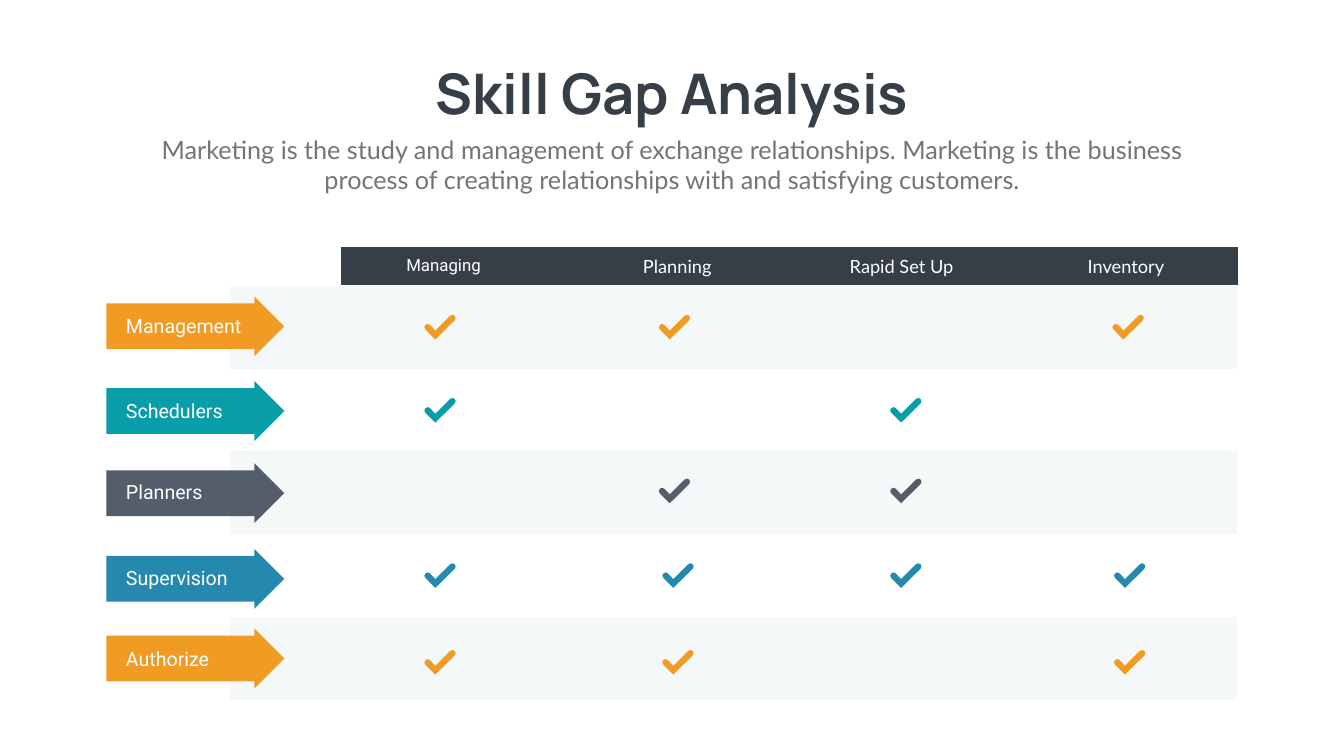
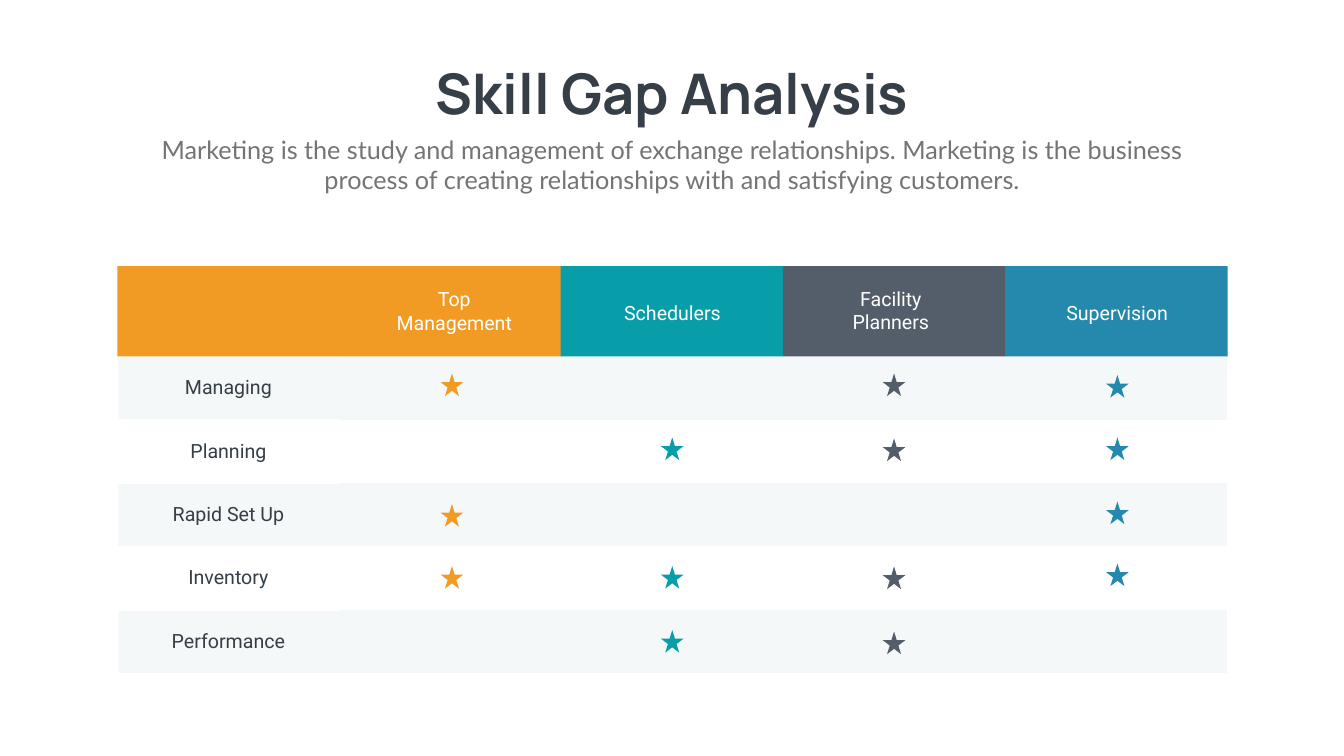
from lxml import etree
from pptx import Presentation
from pptx import util as u
from pptx.dml.color import RGBColor
from pptx.enum import shapes, text
from pptx.oxml import ns

COLORS = {
    "ink": "363E48", "gray": "737572", "white": "FFFFFF", "pale": "F5F8F9",
    "amber": "F19B25", "honey": "F09B24", "teal": "079DA9", "slate": "545D6A",
    "blue": "2489AC",
}
CENTER = text.PP_ALIGN.CENTER
PLAIN_TABLE_STYLE = "{2D5ABB26-0587-4C30-8999-92F81FD0307C}"
TITLE = "Skill Gap Analysis"
SUBTITLE = ("Marketing is the study and management of exchange relationships. "
            "Marketing is the business process of creating relationships with "
            "and satisfying customers.")

# Role, colour, arrow top, label top, check top, check lefts
ROLES = [
    ("Management", "amber", 5.88, 6.17, 6.24, (8.41, 13.06, 22.06)),
    ("Schedulers", "teal", 7.56, 7.87, 7.89, (8.41, 17.65)),
    ("Planners", "slate", 9.19, 9.47, 9.49, (13.06, 17.65)),
    ("Supervision", "blue", 10.89, 11.17, 11.17, (8.41, 13.13, 17.65, 22.09)),
    ("Authorize", "honey", 12.47, 12.79, 12.89, (8.41, 13.13, 22.09)),
]
SKILLS = ["Managing", "Planning", "Rapid Set Up", "Inventory", "Performance"]

# Role, colour, band left and width, label place (left, top, height), star left, star tops
BANDS = [
    ("Top Management", "amber", 2.33, 8.8, (7.72, 5.65, 1.04), 8.74, (7.41, 10, 11.23)),
    ("Schedulers", "teal", 11.12, 4.41, (12.05, 5.93, 0.57), 13.11, (8.68, 11.23, 12.5)),
    ("Facility Planners", "slate", 15.53, 4.41, (16.38, 5.64, 1.04), 17.51,
     (7.41, 8.7, 11.24, 12.53)),
    ("Supervision", "blue", 19.94, 4.41, (20.87, 5.93, 0.57), 21.94,
     (7.44, 8.68, 9.95, 11.18)),
]

# Check mark in thousandths of an inch: a start, then two controls and an end per curve
CHECK_START = (225, 495)
CHECK_CURVES = [
    [(30, 300), (30, 300), (30, 300)],
    [(0, 270), (0, 235), (30, 208)],
    [(55, 180), (90, 180), (120, 208)],
    [(225, 320), (225, 320), (225, 320)],
    [(520, 25), (520, 25), (520, 25)],
    [(550, 0), (590, 0), (610, 25)],
    [(635, 50), (635, 90), (610, 115)],
]


def rgb(color):
    return RGBColor.from_string(COLORS[color])


def paint(shape, color):
    shape.shadow.inherit = False
    shape.fill.solid()
    shape.fill.fore_color.rgb = rgb(color)
    shape.line.fill.background()


def write(frame, words, size, font, color, align=None, bold=False):
    para = frame.paragraphs[0]
    para.alignment = align
    span = para.add_run()
    span.text = words
    span.font.size = u.Pt(size)
    span.font.name = font
    span.font.bold = bold
    span.font.color.rgb = rgb(color)


def add_text(page, place, words, size, font, color, align=None, bold=False, wrap=True):
    box = page.shapes.add_textbox(*map(u.Inches, place))
    frame = box.text_frame
    frame.word_wrap = wrap
    frame.auto_size = text.MSO_AUTO_SIZE.SHAPE_TO_FIT_TEXT
    write(frame, words, size, font, color, align, bold)


def add_preset(page, preset, place, color):
    shape = page.shapes.add_shape(preset, *map(u.Inches, place))
    paint(shape, color)
    return shape


def add_heading(page):
    add_text(page, (8.13, 1.12, 10.41, 1.45), TITLE, 80, "Manrope", "ink", CENTER,
             bold=True, wrap=False)
    add_text(page, (2.92, 2.61, 20.82, 1.31), SUBTITLE, 36, "Lato", "gray", CENTER)


def add_grid(page, place, widths, row_colors):
    """Add a table without style whose rows are filled with row_colors."""
    frame = page.shapes.add_table(len(row_colors), len(widths), *map(u.Inches, place))
    grid = frame.table
    grid.first_row = grid.horz_banding = False
    frame._element.find(".//" + ns.qn("a:tableStyleId")).text = PLAIN_TABLE_STYLE
    for column, width in zip(grid.columns, widths):
        column.width = u.Inches(width)
    for row, color in zip(grid.rows, row_colors):
        for cell in row.cells:
            cell.fill.solid()
            cell.fill.fore_color.rgb = rgb(color)
            cell.vertical_anchor = text.MSO_ANCHOR.MIDDLE
    return grid


def add_white_borders(cell):
    properties = cell._tc.get_or_add_tcPr()
    for place, (side, width) in enumerate([("lnL", 1), ("lnT", 0.5), ("lnB", 0.5)]):
        line = etree.Element(ns.qn("a:" + side), w=str(u.Pt(width)))
        fill = etree.SubElement(line, ns.qn("a:solidFill"))
        etree.SubElement(fill, ns.qn("a:srgbClr"), val=COLORS["white"])
        properties.insert(place, line)


def bend_lines(shape):
    """Turn each three line segments of a freeform into one Bezier curve."""
    lines = list(shape._element.iter(ns.qn("a:lnTo")))
    for first in range(0, len(lines), 3):
        curve = etree.Element(ns.qn("a:cubicBezTo"))
        lines[first].addprevious(curve)
        for line in lines[first:first + 3]:
            curve.append(line[0])
            line.getparent().remove(line)


def add_check(page, left, top, color):
    builder = page.shapes.build_freeform(*CHECK_START, scale=u.Inches(1) / 1000)
    builder.add_line_segments(sum(CHECK_CURVES, []), close=False)
    check = builder.convert_to_shape(u.Inches(left), u.Inches(top))
    bend_lines(check)
    paint(check, color)


def add_skill_header(page):
    header = add_grid(page, (6.76, 4.91, 17.79, 0.74), [4.45] * 4, ["ink"])
    for column, skill in enumerate(SKILLS[:4]):
        cell = header.cell(0, column)
        if column == 0:
            cell.margin_left = u.Inches(1.3)
            write(cell.text_frame, skill, 24, "Roboto", "white")
        else:
            cell.margin_left = cell.margin_right = u.Inches(0.09)
            write(cell.text_frame, skill, 26, "Lato", "white", CENTER)


def build_check_page(page):
    add_heading(page)
    add_grid(page, (4.56, 5.67, 19.99, 8.22), [2.22] + [4.44] * 4,
             ["pale", "white", "pale", "white", "pale"])
    for role, color, arrow_top, *_ in ROLES:
        arrow = add_preset(page, shapes.MSO_SHAPE.RIGHT_ARROW,
                           (2.11, arrow_top, 3.53, 1.19), color)
        arrow.adjustments[0] = 0.762
    for role, _, _, label_top, *_ in ROLES:
        add_text(page, (2.4, label_top, 2.65, 0.57), role, 28, "Roboto", "white")
    add_skill_header(page)
    for _, color, _, _, check_top, check_lefts in ROLES:
        for left in check_lefts:
            add_check(page, left, check_top, color)


def build_star_page(page):
    grid = add_grid(page, (2.33, 5.81, 22.01, 7.55), [4.4] * 5, ["white", "pale"] * 3)
    for row, skill in enumerate([None] + SKILLS):
        cell = grid.cell(row, 0)
        add_white_borders(cell)
        if skill:
            write(cell.text_frame, skill, 28, "Roboto", "ink", CENTER)
    for _, color, left, width, *_ in BANDS:
        add_preset(page, shapes.MSO_SHAPE.RECTANGLE, (left, 5.28, width, 1.79), color)
    add_heading(page)
    for role, color, _, _, label, star_left, star_tops in BANDS:
        label_left, label_top, label_height = label
        add_text(page, (label_left, label_top, 2.58, label_height), role, 28,
                 "Roboto", "white", CENTER)
        for top in star_tops:
            add_preset(page, shapes.MSO_SHAPE.STAR_5_POINT,
                       (star_left, top, 0.45, 0.45), color)


def main():
    deck = Presentation()
    deck.slide_width, deck.slide_height = u.Inches(26.66), u.Inches(15)
    for build in (build_check_page, build_star_page):
        build(deck.slides.add_slide(deck.slide_layouts[6]))
    deck.save("out.pptx")


if __name__ == "__main__":
    main()
